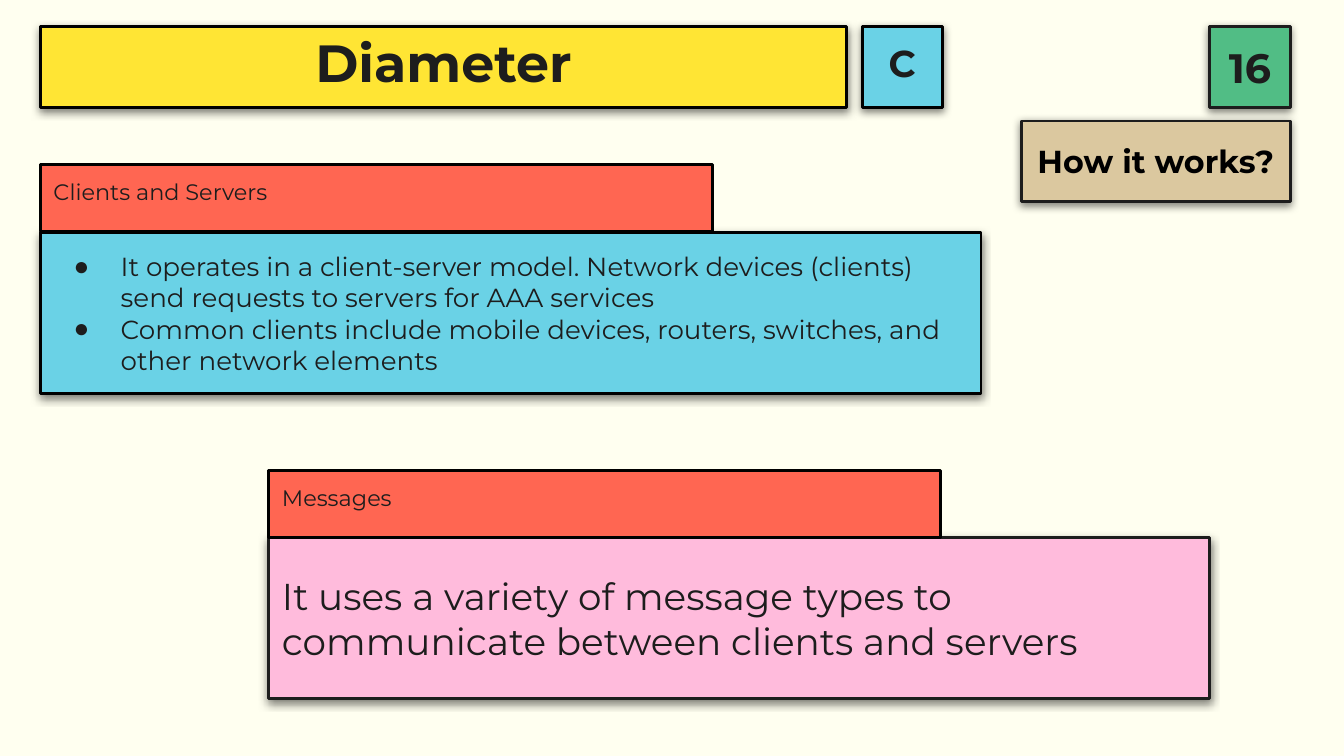
import lxml.etree
import pptx
import pptx.dml.color
import pptx.enum.shapes
import pptx.enum.text
import pptx.oxml.ns
import pptx.util

EMU_PER_PX = 4572
FONT = "Montserrat"
BULLET_FONT = "Arial"
COLORS = {
    "paper": "FFFFF0",
    "ink": "1D1D1D",
    "black": "000000",
    "green": "51BD85",
    "pink": "FFBBDC",
    "blue": "6AD2E6",
    "yellow": "FFE534",
    "red": "FF6652",
    "tan": "DBC89F",
}


def px(length):
    return pptx.util.Emu(length * EMU_PER_PX)


def color(name):
    return pptx.dml.color.RGBColor.from_string(COLORS[name])


def add_element(parent, tag, **attributes):
    element = lxml.etree.SubElement(parent, pptx.oxml.ns.qn(tag))
    for name, value in attributes.items():
        element.set(name, str(value))
    return element


def add_shadow(box):
    effects = box._element.spPr.find(pptx.oxml.ns.qn("a:effectLst"))
    shadow = add_element(
        effects, "a:outerShdw", blurRad=pptx.util.Pt(4.5), dist=pptx.util.Pt(1.5),
        dir=90 * 60000, algn="bl", rotWithShape=0,
    )
    shade = add_element(shadow, "a:srgbClr", val=COLORS["black"])
    add_element(shade, "a:alpha", val=50000)


def add_bullet(para):
    properties = para._p.get_or_add_pPr()
    properties.set("marL", str(px(100)))
    properties.set("indent", str(px(-70)))
    bullet_color = add_element(properties, "a:buClr")
    add_element(bullet_color, "a:srgbClr", val=COLORS["ink"])
    add_element(properties, "a:buFont", typeface=BULLET_FONT)
    add_element(properties, "a:buChar", char="●")


def add_box(page, place, fill, line="black", shadow=True):
    box = page.shapes.add_shape(
        pptx.enum.shapes.MSO_SHAPE.RECTANGLE, *[px(length) for length in place]
    )
    box.fill.solid()
    box.fill.fore_color.rgb = color(fill)
    box.line.color.rgb = color(line)
    box.line.width = pptx.util.Pt(1.5)
    box.shadow.inherit = False
    if shadow:
        add_shadow(box)
    return box


def write_text(box, text, size, bold=False, ink="ink", centred=False,
               top=False, spacing=None, bullets=False):
    frame = box.text_frame
    frame.word_wrap = True
    frame.margin_left = frame.margin_right = px(20)
    frame.margin_top = frame.margin_bottom = px(20)
    anchor = pptx.enum.text.MSO_ANCHOR
    frame.vertical_anchor = anchor.TOP if top else anchor.MIDDLE
    frame.text = text
    align = pptx.enum.text.PP_ALIGN
    for para in frame.paragraphs:
        para.alignment = align.CENTER if centred else align.LEFT
        if spacing:
            para.line_spacing = spacing
        if bullets:
            add_bullet(para)
        for span in para.runs:
            span.font.name = FONT
            span.font.size = pptx.util.Pt(size)
            span.font.bold = bold
            span.font.color.rgb = color(ink)


def add_heading(page, place, fill, text, size, line="black", ink="ink", spacing=None):
    box = add_box(page, place, fill, line)
    write_text(box, text, size, bold=True, ink=ink, centred=True, spacing=spacing)


def add_body(page, place, fill, text, size, line="black", bullets=False):
    box = add_box(page, place, fill, line)
    write_text(box, text, size, bullets=bullets)


def add_tab(page, left, top, text):
    box = add_box(page, (left, top, 1000, 100), "red", shadow=False)
    write_text(box, text, 12, top=True)


def main():
    deck = pptx.Presentation()
    deck.slide_width = px(2000)
    deck.slide_height = px(1125)
    page = deck.slides.add_slide(deck.slide_layouts[6])
    page.background.fill.solid()
    page.background.fill.fore_color.rgb = color("paper")

    add_heading(page, (1800, 40, 120, 120), "green", "16", 22, line="ink")
    add_body(
        page, (400, 800, 1400, 240), "pink",
        "It uses a variety of message types to communicate between clients and servers",
        20, line="ink",
    )
    add_body(
        page, (60, 346, 1400, 240), "blue",
        "It operates in a client-server model. Network devices (clients) "
        "send requests to servers for AAA services\n"
        "Common clients include mobile devices, routers, switches, and "
        "other network elements",
        14, bullets=True,
    )
    add_heading(page, (60, 40, 1200, 120), "yellow", "Diameter", 28, spacing=0.8)
    add_tab(page, 60, 245, "Clients and Servers")
    add_tab(page, 400, 700, "Messages")
    add_heading(page, (1283, 40, 120, 120), "blue", "C", 20, spacing=0.8)
    add_heading(
        page, (1520, 180, 400, 120), "tan", "How it works?", 17, line="ink", ink="black"
    )

    deck.save("out.pptx")


if __name__ == "__main__":
    main()
